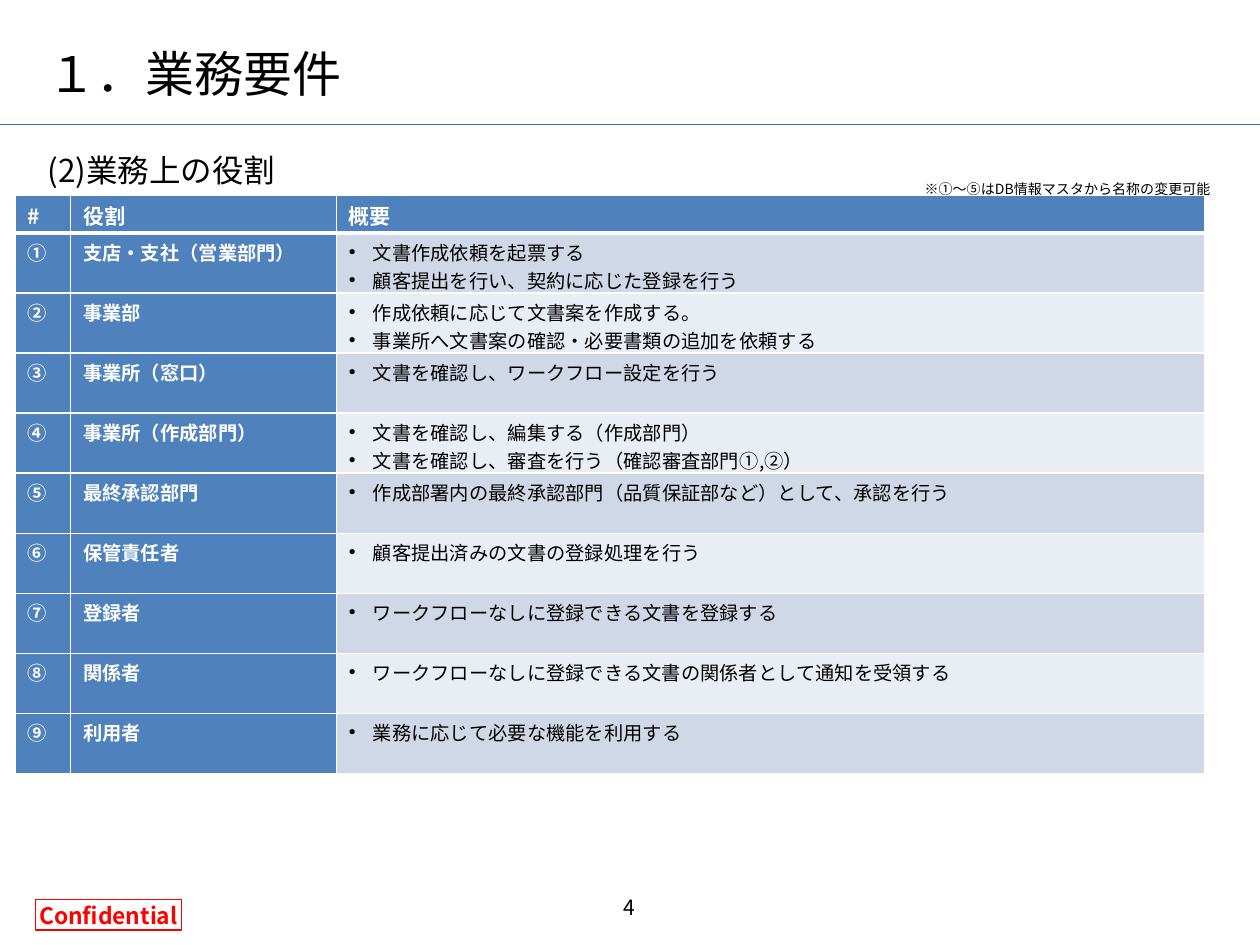
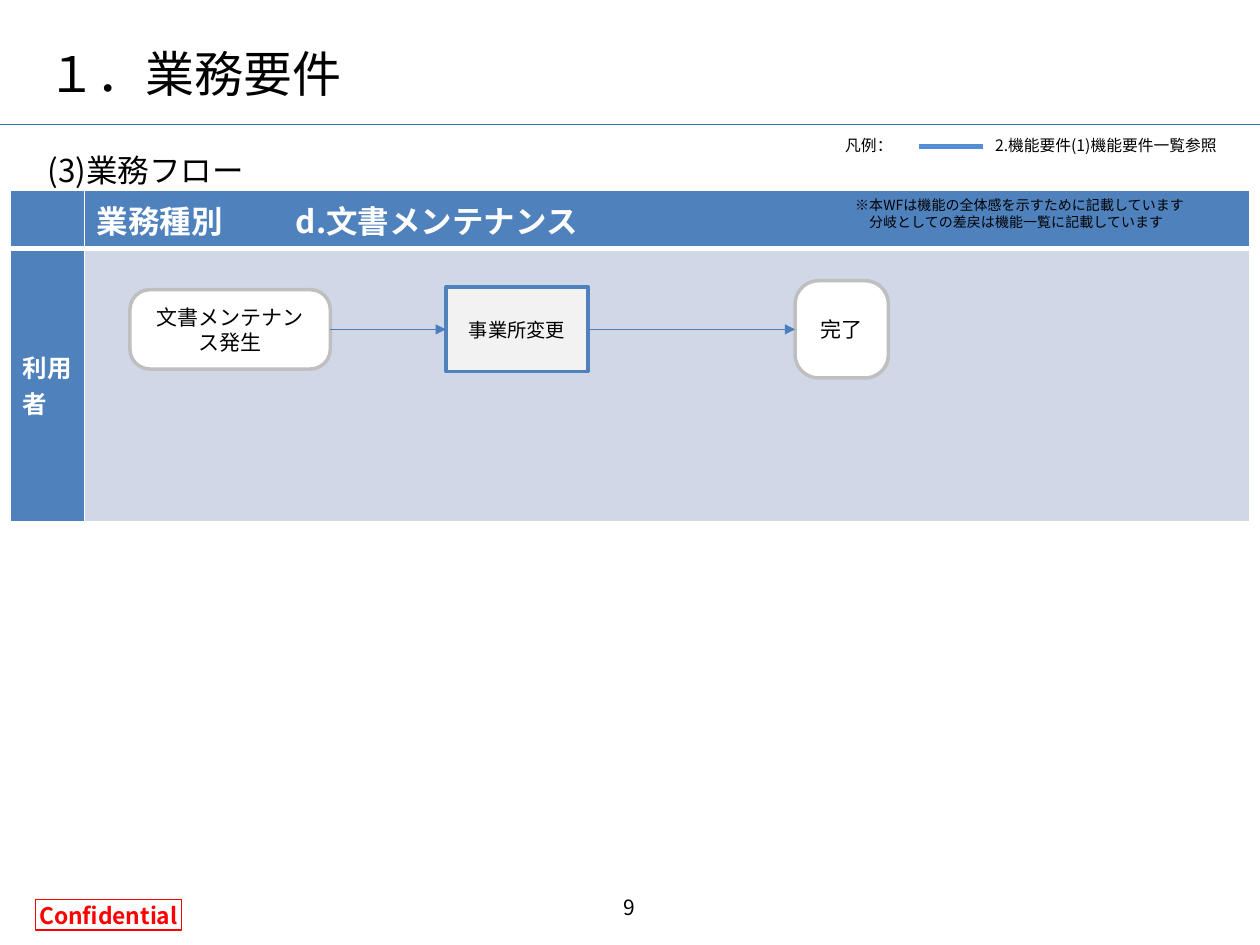
"""Build two business-requirement slides: a table of roles and a maintenance workflow."""
from dataclasses import dataclass

from lxml import etree
from pptx import Presentation
from pptx import util as u
from pptx.dml.color import RGBColor
from pptx.enum import shapes, text
from pptx.oxml.ns import qn


@dataclass(frozen=True)
class Theme:
    font: str = "Noto Sans CJK JP"
    black: str = "000000"
    white: str = "FFFFFF"
    red: str = "FF0000"
    rule: str = "2B73BA"
    accent: str = "4F81BD"
    arrow: str = "4B7EBC"
    legend: str = "558ED5"
    outline: str = "BFBFBF"
    step: str = "F2F2F2"
    bands: tuple = ("E9EDF4", "D0D8E8")
    title: int = 28
    heading: int = 18
    lane: int = 14
    badge: int = 13
    normal: int = 12
    body: int = 11
    legend_text: int = 9
    note: int = 8


THEME = Theme()
ALIGN = text.PP_ALIGN
ANCHOR = text.MSO_ANCHOR


def write_text(frame, content, size=THEME.normal, color=THEME.black, bold=False,
               align=ALIGN.LEFT, bullet=False, indents=(), tab=None):
    lines = [content] if isinstance(content, str) else content
    for index, line in enumerate(lines):
        para = frame.paragraphs[0] if index == 0 else frame.add_paragraph()
        para.alignment = align
        span = para.add_run()
        span.text = line
        span.font.name = THEME.font
        span.font.size = u.Pt(size)
        span.font.bold = bold
        span.font.color.rgb = RGBColor.from_string(color)
        etree.SubElement(span.font._element, qn("a:ea"), typeface=THEME.font)
        properties = para._p.get_or_add_pPr()
        if bullet:
            properties.set("marL", str(u.Cm(0.48)))
            properties.set("indent", str(-u.Cm(0.48)))
            etree.SubElement(properties, qn("a:buFont"), typeface="Arial")
            etree.SubElement(properties, qn("a:buChar"), char="•")
        if indents:
            properties.set("marL", str(u.Cm(indents[index])))
        if tab:
            stops = etree.SubElement(properties, qn("a:tabLst"))
            etree.SubElement(stops, qn("a:tab"), pos=str(u.Cm(tab)), algn="l")


class SlideBuilder:
    def __init__(self, deck, theme):
        self.deck = deck
        self.theme = theme
        self.page = None

    def start(self, title, title_width, heading, number):
        self.page = self.deck.slides.add_slide(self.deck.slide_layouts[5])
        self.line((0, 2.51), (25.4, 2.51), self.theme.rule)
        self.badge("Confidential")
        box = self.page.shapes.title
        box.left, box.top = u.Cm(0.71), u.Cm(0.74)
        box.width, box.height = u.Cm(title_width), u.Cm(1.45)
        box.text_frame.auto_size = text.MSO_AUTO_SIZE.NONE
        box.text_frame.vertical_anchor = ANCHOR.BOTTOM
        write_text(box.text_frame, title, size=self.theme.title)
        self.label(heading, 0.71, 2.92, 24, 1.02, size=self.theme.heading)
        self.label(number, 9.73, 17.65, 5.92, 1.02, anchor=ANCHOR.BOTTOM,
                   align=ALIGN.CENTER)

    def label(self, content, left, top, width, height, anchor=ANCHOR.TOP, **style):
        box = self.page.shapes.add_textbox(*map(u.Cm, (left, top, width, height)))
        box.text_frame.word_wrap = True
        box.text_frame.vertical_anchor = anchor
        write_text(box.text_frame, content, **style)

    def box(self, content, left, top, width, height, line, fill=None, weight=2.0,
            rounded=False, wrap=True, **style):
        kind = shapes.MSO_SHAPE.ROUNDED_RECTANGLE if rounded else shapes.MSO_SHAPE.RECTANGLE
        box = self.page.shapes.add_shape(kind, *map(u.Cm, (left, top, width, height)))
        box.shadow.inherit = False
        if rounded:
            box.adjustments[0] = 0.25
        if fill:
            box.fill.solid()
            box.fill.fore_color.rgb = RGBColor.from_string(fill)
        else:
            box.fill.background()
        box.line.color.rgb = RGBColor.from_string(line)
        box.line.width = u.Pt(weight)
        box.text_frame.word_wrap = wrap
        box.text_frame.vertical_anchor = ANCHOR.MIDDLE
        write_text(box.text_frame, content, align=ALIGN.CENTER, **style)
        return box

    def badge(self, content):
        badge = self.box(content, 0.71, 18.14, 2.95, 0.61, self.theme.red, weight=0.75,
                         wrap=False, size=self.theme.badge, color=self.theme.red, bold=True)
        frame = badge.text_frame
        frame.margin_left = frame.margin_right = u.Cm(0.1)
        frame.margin_top = frame.margin_bottom = u.Cm(0.1)

    def line(self, start, end, color, weight=0.75):
        line = self.page.shapes.add_connector(
            shapes.MSO_CONNECTOR.STRAIGHT, *map(u.Cm, (*start, *end)))
        line.line.color.rgb = RGBColor.from_string(color)
        line.line.width = u.Pt(weight)
        etree.SubElement(line.element.spPr, qn("a:effectLst"))
        return line

    def arrow(self, source, target):
        arrow = self.line((0, 0), (1, 1), self.theme.arrow)
        arrow.begin_connect(source, 3)
        arrow.end_connect(target, 1)
        outline = arrow.element.spPr.find(qn("a:ln"))
        etree.SubElement(outline, qn("a:tailEnd"), type="triangle")

    def borders(self, cell, row):
        properties = cell._tc.get_or_add_tcPr()
        for side in "LRTB":
            heavy = (row, side) in ((0, "B"), (1, "T"))
            edge = etree.SubElement(properties, qn(f"a:ln{side}"),
                                    w=str(u.Pt(3 if heavy else 1)))
            fill = etree.SubElement(edge, qn("a:solidFill"))
            etree.SubElement(fill, qn("a:srgbClr"), val=self.theme.white)

    def table(self, rows, left, top, widths, heights, head_size, label_size,
              margins=(0.13, 0.13), tab=None):
        holder = self.page.shapes.add_table(
            len(rows), len(widths),
            *map(u.Cm, (left, top, sum(widths), sum(heights))))
        table = holder.table
        table.horz_banding = False
        for column, width in zip(table.columns, widths):
            column.width = u.Cm(width)
        for row, height in zip(table.rows, heights):
            row.height = u.Cm(height)
        for row, contents in enumerate(rows):
            for column, content in enumerate(contents):
                cell = table.cell(row, column)
                label = row == 0 or column < len(widths) - 1
                self.borders(cell, row)
                cell.fill.solid()
                cell.fill.fore_color.rgb = RGBColor.from_string(
                    self.theme.accent if label else self.theme.bands[row % 2])
                cell.margin_top, cell.margin_bottom = map(u.Cm, margins)
                if content:
                    write_text(cell.text_frame, content,
                               size=label_size if row else head_size,
                               color=self.theme.white if label else self.theme.black,
                               bold=label, bullet=not label,
                               tab=None if row else tab)
        return table


def build_roles(builder):
    theme = builder.theme
    builder.start("１．業務要件", 19.25, "(2)業務上の役割", "4")
    builder.label("※①～⑤はDB情報マスタから名称の変更可能", 18.39, 3.51, 6.32, 0.61,
                  size=theme.note)
    roles = [
        ("支店・支社（営業部門）", ["文書作成依頼を起票する",
                         "顧客提出を行い、契約に応じた登録を行う"]),
        ("事業部", ["作成依頼に応じて文書案を作成する。",
                 "事業所へ文書案の確認・必要書類の追加を依頼する"]),
        ("事業所（窓口）", "文書を確認し、ワークフロー設定を行う"),
        ("事業所（作成部門）", ["文書を確認し、編集する（作成部門）",
                       "文書を確認し、審査を行う（確認審査部門①,②）"]),
        ("最終承認部門", "作成部署内の最終承認部門（品質保証部など）として、承認を行う"),
        ("保管責任者", "顧客提出済みの文書の登録処理を行う"),
        ("登録者", "ワークフローなしに登録できる文書を登録する"),
        ("関係者", "ワークフローなしに登録できる文書の関係者として通知を受領する"),
        ("利用者", "業務に応じて必要な機能を利用する"),
    ]
    rows = [("#", "役割", "概要")]
    rows += [(mark, *role) for mark, role in zip("①②③④⑤⑥⑦⑧⑨", roles)]
    builder.table(rows, 0.3, 3.94, [1.12, 5.36, 17.5], [0.76] + [1.21] * len(roles),
                  theme.normal, theme.body, margins=(0.1, 0))


def build_workflow(builder):
    theme = builder.theme
    builder.start("１．業務要件", 21.34, "(3)業務フロー", "9")
    lanes = builder.table([("", "業務種別\td.文書メンテナンス"), ("利用者", "")],
                          0.2, 3.84, [1.5, 23.5], [1.17, 5.5],
                          theme.heading, theme.lane, tab=4.01)
    lane = lanes.cell(1, 0)
    lane.vertical_anchor = ANCHOR.MIDDLE
    lane._tc.get_or_add_tcPr().set("vert", "wordArtVertRtl")

    flow_middle = 6.64
    terminal = dict(line=theme.outline, fill=theme.white, rounded=True)
    process = dict(line=theme.accent, fill=theme.step, wrap=False, size=theme.body)
    flow = [
        ("文書メンテナンス発生", 2.62, 4.04, 1.6, terminal),
        ("事業所変更", 8.99, 2.87, 1.7, process),
        ("完了", 16.03, 1.88, 1.96, terminal),
    ]
    steps = [builder.box(name, left, flow_middle - height / 2, width, height, **style)
             for name, left, width, height, style in flow]
    for source, target in zip(steps, steps[1:]):
        builder.arrow(source, target)

    builder.label("凡例：", 16.79, 2.62, 1.73, 0.64, size=theme.legend_text)
    builder.line((18.52, 2.95), (19.81, 2.95), theme.legend, weight=3)
    builder.label("2.機能要件(1)機能要件一覧参照", 19.81, 2.62, 5.38, 0.64,
                  size=theme.legend_text)
    builder.label(["※本WFは機能の全体感を示すために記載しています",
                   "分岐としての差戻は機能一覧に記載しています"],
                  16.99, 3.84, 8.61, 0.94, size=theme.note, indents=(0, 0.28))


def main():
    deck = Presentation()
    deck.slide_width, deck.slide_height = u.Cm(25.4), u.Cm(19.05)
    builder = SlideBuilder(deck, THEME)
    build_roles(builder)
    build_workflow(builder)
    deck.save("out.pptx")


if __name__ == "__main__":
    main()
